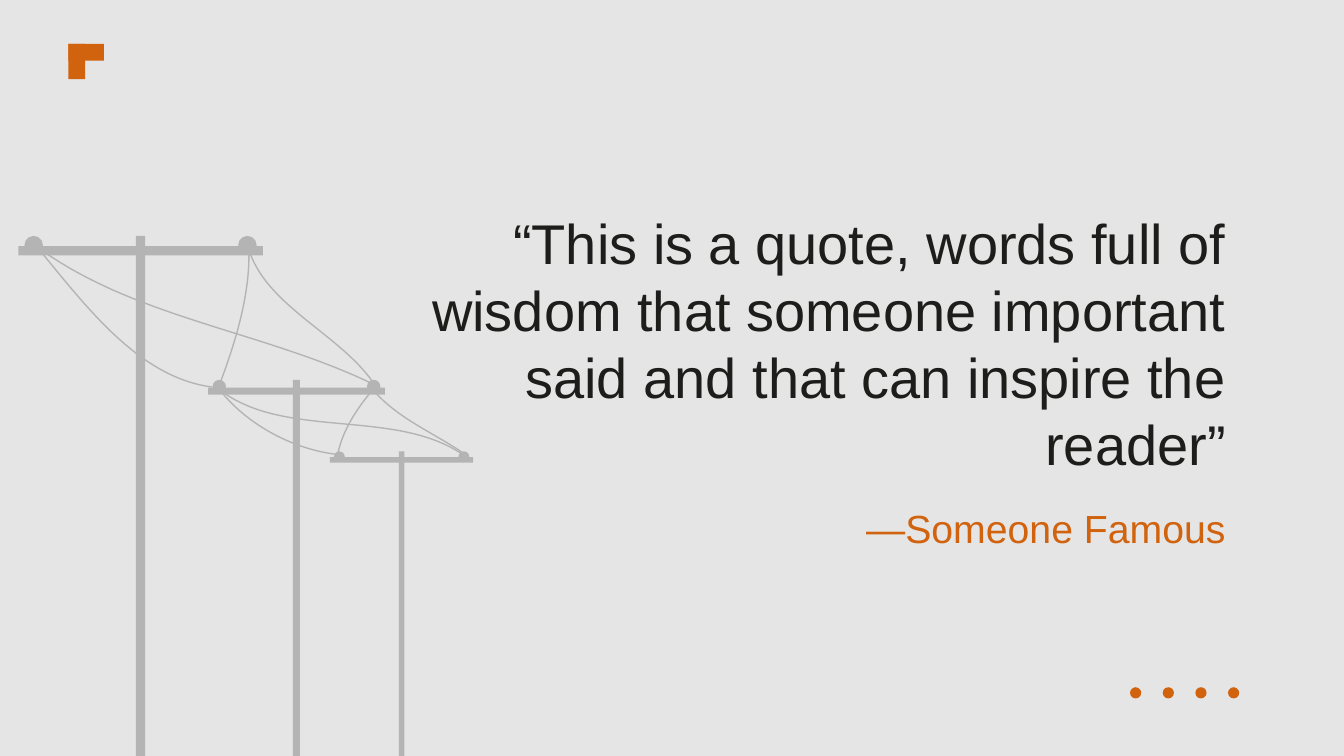
from pptx import Presentation
from pptx.dml.color import RGBColor
from pptx.enum import shapes, text
from pptx.util import Pt

COLORS = {"background": "E5E5E5", "accent": "D1630F", "ink": "1D1D1B", "pylon": "B4B4B4"}
FONT = "Arial"
PAGE_WIDTH, PAGE_HEIGHT = 720, 405
RECTANGLE = shapes.MSO_SHAPE.RECTANGLE
OVAL = shapes.MSO_SHAPE.OVAL

deck = Presentation()
deck.slide_width, deck.slide_height = Pt(PAGE_WIDTH), Pt(PAGE_HEIGHT)
slide = deck.slides.add_slide(deck.slide_layouts[5])
slide.background.fill.solid()
slide.background.fill.fore_color.rgb = RGBColor.from_string(COLORS["background"])


def add_part(kind, left, top, width, height, color):
    part = slide.shapes.add_shape(kind, Pt(left), Pt(top), Pt(width), Pt(height))
    part.shadow.inherit = False
    part.fill.solid()
    part.fill.fore_color.rgb = RGBColor.from_string(COLORS[color])
    part.line.fill.background()


def write(holder, words, size, color, anchor):
    """Fill a text holder with one right-aligned paragraph."""
    frame = holder.text_frame
    frame.word_wrap = True
    frame.auto_size = text.MSO_AUTO_SIZE.NONE
    frame.vertical_anchor = anchor
    frame.margin_left = frame.margin_right = Pt(7.2)
    frame.margin_top = frame.margin_bottom = Pt(7.2)
    paragraph = frame.paragraphs[0]
    paragraph.text = words
    paragraph.alignment = text.PP_ALIGN.RIGHT
    paragraph.line_spacing = Pt(1.2 * size)
    paragraph.space_before = Pt(0)
    paragraph.font.name = FONT
    paragraph.font.size = Pt(size)
    paragraph.font.color.rgb = RGBColor.from_string(COLORS[color])


# Page ornaments
for dot in range(4):
    add_part(OVAL, 605.4 + 17.5 * dot, 368.2, 6, 6, "accent")
add_part(RECTANGLE, 36.7, 23.5, 9, 19, "accent")
add_part(RECTANGLE, 36.7, 23.5, 19, 9, "accent")

# Quote and its author
author = slide.shapes.title
author.left, author.top, author.width, author.height = Pt(320.4), Pt(262.8), Pt(343.4), Pt(41.8)
write(author, "—Someone Famous", 21, "accent", text.MSO_ANCHOR.TOP)
quote = slide.shapes.add_textbox(Pt(201.6), Pt(100.8), Pt(462.2), Pt(162))
write(quote, "“This is a quote, words full of wisdom that someone important "
      "said and that can inspire the reader”", 30, "ink", text.MSO_ANCHOR.BOTTOM)

# Pylons: crossarm left, top, width, thickness; mast top; insulator inset, diameter
pylons = [
    (9.8, 131.9, 131, 5, 126.4, 3.3, 9.9),
    (111.5, 207.7, 94.7, 3.8, 203.5, 2.4, 7.2),
    (176.8, 244.9, 76.7, 3, 241.8, 2.1, 5.8),
]
for left, top, width, thickness, mast_top, inset, diameter in pylons:
    add_part(RECTANGLE, left, top, width, thickness, "pylon")
    add_part(RECTANGLE, left + (width - thickness) / 2, mast_top,
             thickness, PAGE_HEIGHT - mast_top, "pylon")
    for insulator in (left + inset, left + width - inset - diameter):
        add_part(OVAL, insulator, mast_top, diameter, diameter, "pylon")

# Wires: start, two control points and end of each cubic curve
wires = [
    [(18.7, 131), (44.6, 162), (73.4, 202.3), (113.8, 207.4)],
    [(17.3, 130.3), (69.8, 170.6), (141.8, 177.1), (201.6, 206.6)],
    [(133.2, 131), (134.6, 157), (126, 183.6), (117.4, 206.6)],
    [(201.6, 207.4), (184.3, 180), (144.7, 165.6), (133.9, 135.4)],
    [(116.6, 207.4), (131, 226.8), (156.2, 240.5), (180, 243.4)],
    [(115.9, 207.4), (151.2, 236.9), (212.4, 217.4), (249.8, 244.8)],
    [(200.9, 207.4), (191.5, 218.2), (182.9, 231.1), (180.7, 244.8)],
    [(198.7, 207.4), (211.7, 223.9), (232.6, 231.8), (249.1, 243.4)],
]
STEPS = 32
for wire in wires:
    points = []
    for step in range(STEPS + 1):
        t = step / STEPS
        weights = ((1 - t) ** 3, 3 * t * (1 - t) ** 2, 3 * t ** 2 * (1 - t), t ** 3)
        points.append(tuple(Pt(sum(w * c for w, c in zip(weights, axis)))
                            for axis in zip(*wire)))
    builder = slide.shapes.build_freeform(*points[0])
    builder.add_line_segments(points[1:], close=False)
    cable = builder.convert_to_shape()
    cable.shadow.inherit = False
    cable.fill.background()
    cable.line.color.rgb = RGBColor.from_string(COLORS["pylon"])
    cable.line.width = Pt(0.75)

deck.save("out.pptx")
